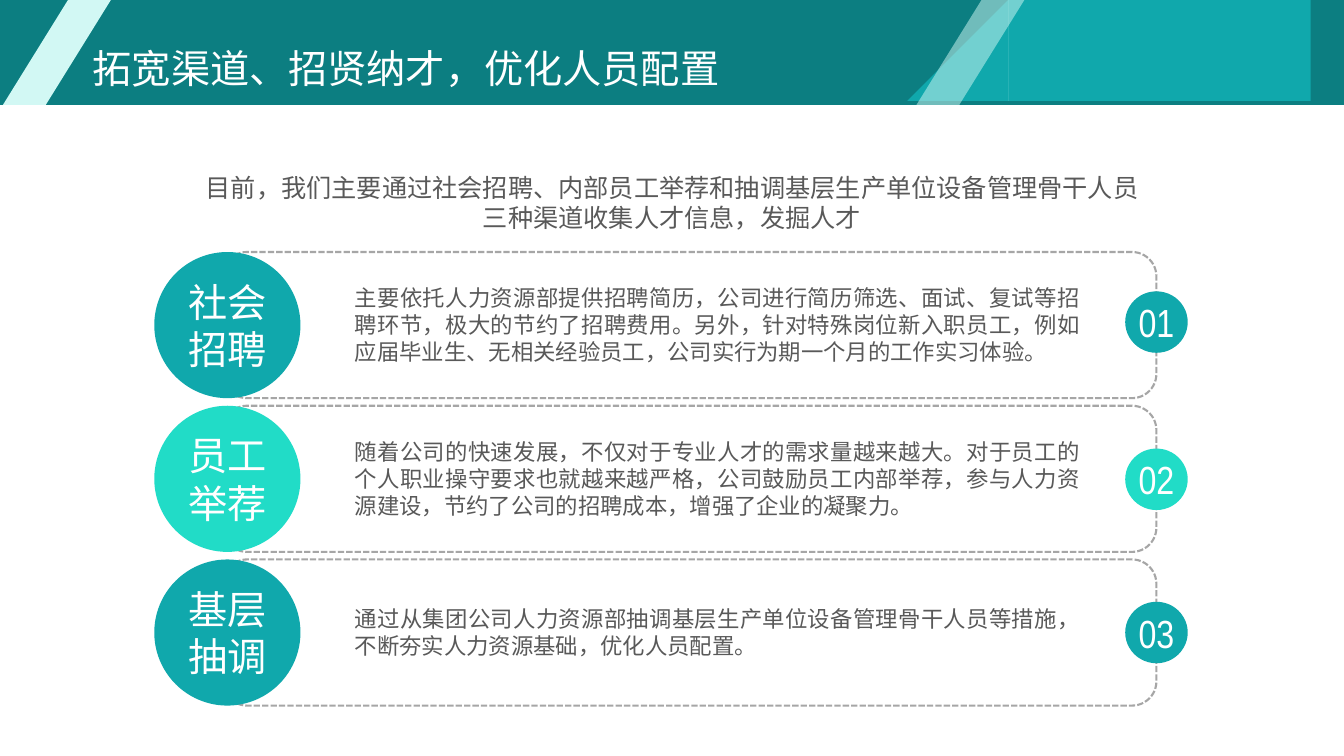
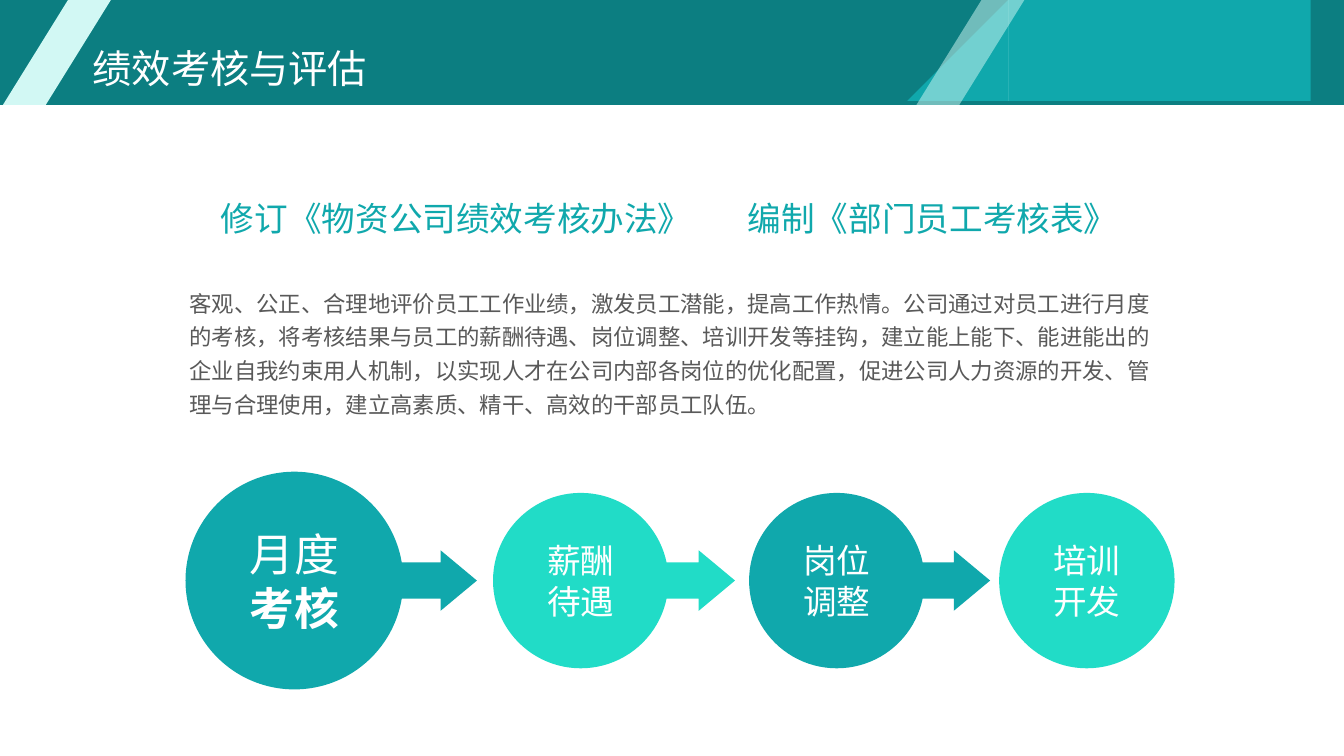
from lxml import etree
from pptx import Presentation
from pptx.dml.color import RGBColor
from pptx.enum.dml import MSO_LINE
from pptx.enum.shapes import MSO_SHAPE
from pptx.enum.text import MSO_ANCHOR, MSO_AUTO_SIZE, PP_ALIGN
from pptx.oxml.ns import qn
from pptx.util import Inches, Pt

RECTANGLE = MSO_SHAPE.RECTANGLE
ROUNDED = MSO_SHAPE.ROUNDED_RECTANGLE
PARALLELOGRAM = MSO_SHAPE.PARALLELOGRAM
OVAL = MSO_SHAPE.OVAL
ARROW = MSO_SHAPE.NOTCHED_RIGHT_ARROW
DASH = MSO_LINE.SQUARE_DOT
MIDDLE, TOP = MSO_ANCHOR.MIDDLE, MSO_ANCHOR.TOP
NO_AUTOFIT, GROW = MSO_AUTO_SIZE.NONE, MSO_AUTO_SIZE.SHAPE_TO_FIT_TEXT
LEFT, CENTER, JUSTIFY = PP_ALIGN.LEFT, PP_ALIGN.CENTER, PP_ALIGN.JUSTIFY

COLORS = {
    "dark": "0C7E81",
    "teal": "10A8AC",
    "mint": "21DCC7",
    "pale": "D2F8F4",
    "white": "FFFFFF",
    "body": "595959",
    "outline": "A6A6A6",
}
TEXT_FONT = "Noto Sans CJK SC"
NUMBER_FONT = "Arial Narrow"
SLIDE_WIDTH, SLIDE_HEIGHT, BAND_HEIGHT = 13.33, 7.5, 1.04
TITLE_LAYOUT = 5

CHANNELS = [
    ("社会招聘", "01", "teal", 2.89, 2.82, 0.81,
     "主要依托人力资源部提供招聘简历，公司进行简历筛选、面试、复试等招聘环节，极大的节约了招聘费用。"
     "另外，针对特殊岗位新入职员工，例如应届毕业生、无相关经验员工，公司实行为期一个月的工作实习体验。"),
    ("员工举荐", "02", "mint", 4.45, 4.35, 0.81,
     "随着公司的快速发展，不仅对于专业人才的需求量越来越大。对于员工的个人职业操守要求也就越来越严格，"
     "公司鼓励员工内部举荐，参与人力资源建设，节约了公司的招聘成本，增强了企业的凝聚力。"),
    ("基层抽调", "03", "teal", 5.97, 6, 0.54,
     "通过从集团公司人力资源部抽调基层生产单位设备管理骨干人员等措施，不断夯实人力资源基础，优化人员配置。"),
]
STEPS = [
    (["月度", "考核"], "teal", 1.84, 2.16, 32, 1),
    (["薪酬", "待遇"], "mint", 4.89, 1.74, 24, None),
    (["岗位", "调整"], "teal", 7.43, 1.74, 24, None),
    (["培训", "开发"], "mint", 9.91, 1.74, 24, None),
]
ARROWS = [(3.78, 0.95, "teal"), (6.34, 0.95, "mint"), (8.8, 1.02, "teal")]


def rgb(color):
    return RGBColor.from_string(COLORS[color])


def paint(shape, color):
    shape.shadow.inherit = False
    shape.fill.solid()
    shape.fill.fore_color.rgb = rgb(color)
    shape.line.fill.background()


def add_shape(slide, kind, left, top, width, height, color, adjustments=()):
    shape = slide.shapes.add_shape(
        kind, Inches(left), Inches(top), Inches(width), Inches(height))
    paint(shape, color)
    for index, value in enumerate(adjustments):
        shape.adjustments[index] = value
    return shape


def add_polygon(slide, points, color):
    builder = slide.shapes.build_freeform(*points[0], scale=Inches(1))
    builder.add_line_segments(points[1:], close=True)
    shape = builder.convert_to_shape()
    paint(shape, color)
    return shape


def write(shape, lines, size, color, align=CENTER, font_name=TEXT_FONT,
          spacing=None, bold_line=None):
    frame = shape.text_frame
    for index, line in enumerate(lines):
        paragraph = frame.paragraphs[0] if index == 0 else frame.add_paragraph()
        paragraph.alignment = align
        if spacing:
            paragraph.line_spacing = spacing
        run = paragraph.add_run()
        run.text = line
        font = run.font
        font.size = Pt(size)
        font.color.rgb = rgb(color)
        font.name = font_name
        if index == bold_line:
            font.bold = True
        east_asian = etree.SubElement(run._r.get_or_add_rPr(), qn("a:ea"))
        east_asian.set("typeface", font_name)


def set_frame(shape, anchor):
    frame = shape.text_frame
    frame.word_wrap = True
    frame.vertical_anchor = anchor
    frame.margin_left = frame.margin_right = 0
    frame.margin_top = frame.margin_bottom = 0
    return frame


def add_text(slide, left, top, width, height, text, size, color="body",
             anchor=TOP, align=CENTER, spacing=None):
    box = slide.shapes.add_textbox(
        Inches(left), Inches(top), Inches(width), Inches(height))
    set_frame(box, anchor).auto_size = GROW
    write(box, [text], size, color, align, spacing=spacing)


def add_circle(slide, left, top, width, height, color, lines, size,
               font_name=TEXT_FONT, bold_line=None):
    circle = add_shape(slide, OVAL, left, top, width, height, color)
    set_frame(circle, MIDDLE)
    write(circle, lines, size, "white", font_name=font_name, bold_line=bold_line)


def add_outline(slide, left, top, width, height):
    outline = add_shape(slide, ROUNDED, left, top, width, height, "white")
    outline.fill.background()
    outline.line.color.rgb = rgb("outline")
    outline.line.width = Pt(1.5)
    outline.line.dash_style = DASH


def add_title_slide(presentation, title):
    slide = presentation.slides.add_slide(presentation.slide_layouts[TITLE_LAYOUT])
    shape = slide.shapes.title
    shape.left, shape.top = Inches(0.82), Inches(0.33)
    shape.width, shape.height = Inches(9.08), Inches(0.75)
    shape.text_frame.vertical_anchor = MIDDLE
    shape.text_frame.auto_size = NO_AUTOFIT
    write(shape, [title], 28, "white", LEFT, spacing=0.9)
    return slide


def move_header_to_layout(slide):
    band = add_shape(slide, RECTANGLE, 0, 0, SLIDE_WIDTH, BAND_HEIGHT, "dark")
    panel = add_polygon(slide, [(9.87, 0), (SLIDE_WIDTH, 0),
                                (SLIDE_WIDTH, BAND_HEIGHT), (9.22, BAND_HEIGHT)], "teal")
    stripes = [add_shape(slide, PARALLELOGRAM, left, 0, 1.07, BAND_HEIGHT, "pale", [0.62])
               for left in (0.03, 9.09)]
    color_element = stripes[1].element.spPr.find(qn("a:solidFill"))[0]
    etree.SubElement(color_element, qn("a:alpha")).set("val", "51000")
    thin_stripe = add_polygon(slide, [(10.4, 0), (10.49, 0),
                                      (9.85, BAND_HEIGHT), (9.76, BAND_HEIGHT)], "pale")
    layout_tree = slide.slide_layout.shapes.element
    for index, shape in enumerate([band, panel, *stripes, thin_stripe]):
        layout_tree.insert(2 + index, shape.element)


def build_channels(slide):
    add_text(slide, 2.01, 1.7, 9.31, 0.61,
             "目前，我们主要通过社会招聘、内部员工举荐和抽调基层生产单位设备管理骨干人员"
             "三种渠道收集人才信息，发掘人才", 18, anchor=MIDDLE)
    first_top, last_top, row_height = 2.5, 5.55, 1.45
    pitch = (last_top - first_top) / (len(CHANNELS) - 1)
    for index, channel in enumerate(CHANNELS):
        label, number, color, number_top, text_top, text_height, text = channel
        top = first_top + index * pitch
        add_outline(slide, 2.21, top, 9.26, row_height)
        add_text(slide, 3.52, text_top, 7.2, text_height, text, 16, align=JUSTIFY)
        add_circle(slide, 11.16, number_top, 0.62, 0.61, color, [number], 28, NUMBER_FONT)
        add_circle(slide, 1.53, top, row_height, row_height, color, [label], 28)


def build_assessment(slide):
    add_text(slide, 2.12, 1.96, 4.81, 0.4, "修订《物资公司绩效考核办法》", 24, "teal")
    add_text(slide, 7.25, 1.96, 4, 0.4, "编制《部门员工考核表》", 24, "teal")
    add_text(slide, 1.88, 2.81, 9.58, 1.35,
             "客观、公正、合理地评价员工工作业绩，激发员工潜能，提高工作热情。"
             "公司通过对员工进行月度的考核，将考核结果与员工的薪酬待遇、岗位调整、培训开发等挂钩，"
             "建立能上能下、能进能出的企业自我约束用人机制，以实现人才在公司内部各岗位的优化配置，"
             "促进公司人力资源的开发、管理与合理使用，建立高素质、精干、高效的干部员工队伍。",
             16, align=LEFT, spacing=Pt(24))
    center, arrow_height = 5.76, 0.6
    for left, width, color in ARROWS:
        add_shape(slide, ARROW, left, center - arrow_height / 2, width, arrow_height,
                  color, [0.6, 0.6])
    for lines, color, left, diameter, size, bold_line in STEPS:
        add_circle(slide, left, center - diameter / 2, diameter, diameter,
                   color, lines, size, bold_line=bold_line)


def main():
    presentation = Presentation()
    presentation.slide_width = Inches(SLIDE_WIDTH)
    presentation.slide_height = Inches(SLIDE_HEIGHT)
    channels = add_title_slide(presentation, "拓宽渠道、招贤纳才，优化人员配置")
    move_header_to_layout(channels)
    build_channels(channels)
    build_assessment(add_title_slide(presentation, "绩效考核与评估"))
    presentation.save("out.pptx")


if __name__ == "__main__":
    main()
